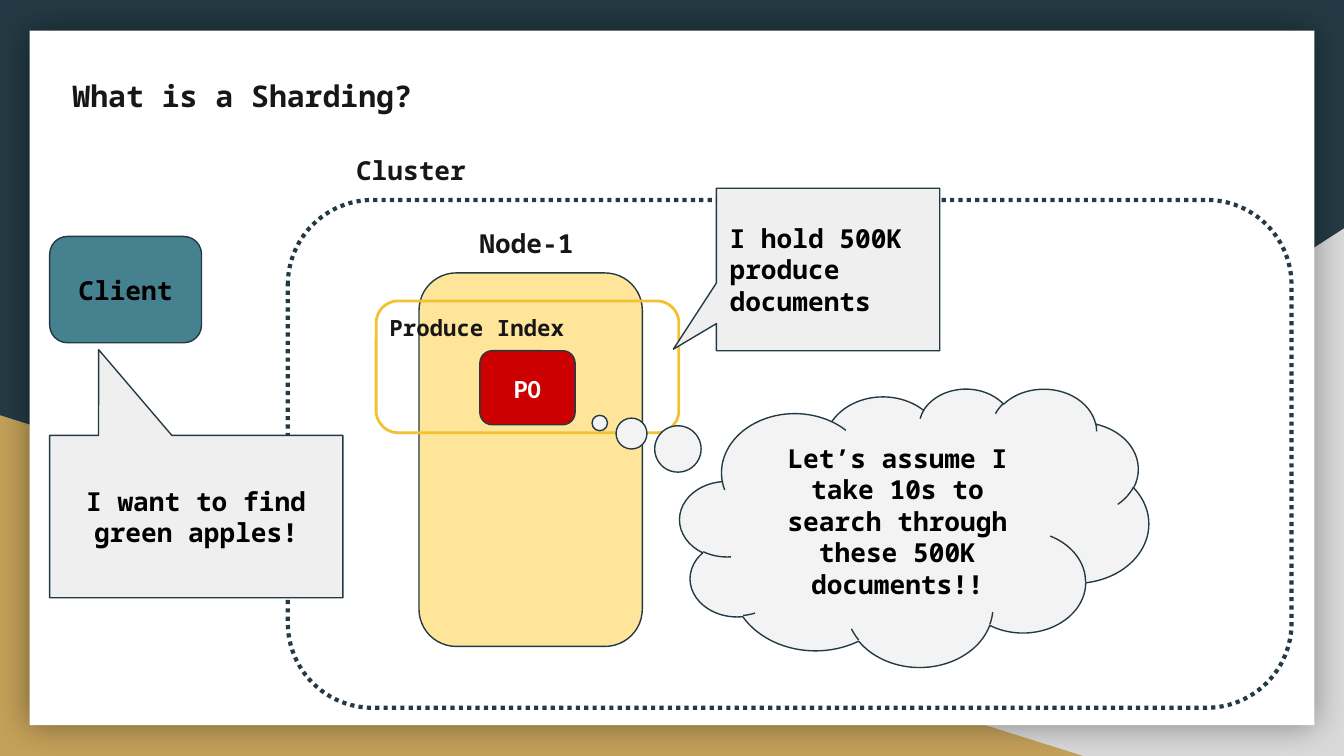
import pptx
import pptx.dml.color
import pptx.enum.dml
import pptx.enum.shapes
import pptx.enum.text
import pptx.oxml
import pptx.oxml.ns
import pptx.util

Cm = pptx.util.Cm
Pt = pptx.util.Pt
RGB = pptx.dml.color.RGBColor
KIND = pptx.enum.shapes.MSO_SHAPE
ALIGN = pptx.enum.text.PP_ALIGN
ANCHOR = pptx.enum.text.MSO_ANCHOR

NAVY = RGB(0x23, 0x3A, 0x44)
GREY = RGB(0xD9, 0xD9, 0xD9)
GOLD = RGB(0xC4, 0xA1, 0x5A)
WHITE = RGB(0xFF, 0xFF, 0xFF)
BLACK = RGB(0, 0, 0)
INK = RGB(0x17, 0x17, 0x17)
CREAM = RGB(0xFF, 0xE5, 0x99)
AMBER = RGB(0xF1, 0xC2, 0x32)
RED = RGB(0xCC, 0, 0)
TEAL = RGB(0x45, 0x81, 0x8E)
PALE = RGB(0xEF, 0xEF, 0xEF)
CLOUD = RGB(0xF3, 0xF3, 0xF3)
MONO = "Noto Sans Mono"
ROUND = 0.167

# Boxes are (left, top, width, height) in centimetres.
SIZE = (25.4, 14.29)
PANEL = (0.56, 0.58, 24.28, 13.13)
WEDGES = [  # box, fill, mirrored
    ((9.96, 4.32, 15.44, 9.97), GREY, True),
    ((0, 7.85, 20.47, 6.44), GOLD, False),
]
TITLE = ("What is a Sharding?", (1.12, 1.22, 7.7, 1.19))
FRAMES = {  # box, fill, line colour, line width
    "cluster": ((5.44, 3.78, 18.97, 9.6), None, NAVY, 2.25),
    "node": ((7.92, 5.16, 4.22, 7.06), CREAM, NAVY, 0.75),
    "index": ((7.11, 5.69, 5.72, 2.49), None, AMBER, 1.5),
}
LABELS = [  # text, box, size
    ("Node-1", (8.81, 4.04, 2.46, 1.12), 14),
    ("Cluster", (6.48, 2.67, 3.61, 1.12), 14),
    ("Produce Index", (7.11, 5.69, 4.39, 1.02), 12),
]
CHIPS = [  # text, box, fill, font, colour
    ("P0", (9.07, 6.63, 1.8, 1.4), RED, "Calibri", WHITE),
    ("Client", (0.94, 4.47, 2.87, 2.01), TEAL, MONO, BLACK),
]
CALLS = [  # text, box, kind, pointer, fill, alignment
    ("I want to find green apples!", (0.94, 8.23, 5.54, 3.07),
     KIND.RECTANGULAR_CALLOUT, (-0.333, -1.028), PALE, ALIGN.CENTER),
    ("I hold 500K produce documents", (13.54, 3.56, 4.22, 3.07),
     KIND.RECTANGULAR_CALLOUT, (-0.693, 0.491), PALE, ALIGN.LEFT),
    ("Let’s assume I take 10s to search through these 500K documents!!",
     (12.85, 7.34, 8.86, 5.26),
     KIND.CLOUD_CALLOUT, (-0.671, -0.375), CLOUD, ALIGN.CENTER),
]


def place(box):
    return [Cm(v) for v in box]


def draw(slide, kind, box, fill=None, line=None, width=0.75, adjust=()):
    shape = slide.shapes.add_shape(kind, *place(box))
    shape.shadow.inherit = False
    for i, value in enumerate(adjust):
        shape.adjustments[i] = value
    if fill is None:
        shape.fill.background()
    else:
        shape.fill.solid()
        shape.fill.fore_color.rgb = fill
    if line is None:
        shape.line.fill.background()
    else:
        shape.line.color.rgb = line
        shape.line.width = Pt(width)
    return shape


def write(shape, text, size=14, color=BLACK, font=MONO,
          align=ALIGN.LEFT, anchor=ANCHOR.TOP):
    frame = shape.text_frame
    frame.text = text
    frame.word_wrap = True
    frame.auto_size = pptx.enum.text.MSO_AUTO_SIZE.NONE
    frame.vertical_anchor = anchor
    frame.margin_left = frame.margin_right = Cm(0.25)
    frame.margin_top = frame.margin_bottom = Cm(0.25)
    para = frame.paragraphs[0]
    para.alignment = align
    face = para.runs[0].font
    face.name, face.size, face.bold = font, Pt(size), True
    face.color.rgb = color


def glow(shape):
    """Give the shape a soft shadow on all sides."""
    effects = shape.element.spPr.find(pptx.oxml.ns.qn("a:effectLst"))
    effects.append(pptx.oxml.parse_xml(
        f'<a:outerShdw {pptx.oxml.ns.nsdecls("a")} blurRad="{Pt(18)}" '
        'dist="0" dir="0" algn="ctr" rotWithShape="0"><a:srgbClr val="000000">'
        '<a:alpha val="40000"/></a:srgbClr></a:outerShdw>'))


def main():
    deck = pptx.Presentation()
    deck.slide_width, deck.slide_height = place(SIZE)
    slide = deck.slides.add_slide(deck.slide_layouts.get_by_name("Title Only"))
    slide.background.fill.solid()
    slide.background.fill.fore_color.rgb = NAVY

    for box, fill, flip in WEDGES:
        wedge = draw(slide, KIND.RIGHT_TRIANGLE, box, fill)
        if flip:
            wedge.element.spPr.xfrm.set("flipH", "1")
    glow(draw(slide, KIND.RECTANGLE, PANEL, WHITE))

    title = slide.shapes.title
    text, box = TITLE
    title.left, title.top, title.width, title.height = place(box)
    write(title, text, 16, INK)
    slide.shapes.element.append(title.element)  # bring in front of the panel

    for name, (box, fill, line, width) in FRAMES.items():
        frame = draw(slide, KIND.ROUNDED_RECTANGLE, box, fill, line, width, [ROUND])
        if name == "cluster":
            frame.line.dash_style = pptx.enum.dml.MSO_LINE.ROUND_DOT
    for text, box, size in LABELS:
        write(slide.shapes.add_textbox(*place(box)), text, size, INK)
    for text, box, fill, font, color in CHIPS:
        chip = draw(slide, KIND.ROUNDED_RECTANGLE, box, fill, NAVY, adjust=[ROUND])
        write(chip, text, 14, color, font, ALIGN.CENTER, ANCHOR.MIDDLE)
    for text, box, kind, tip, fill, align in CALLS:
        call = draw(slide, kind, box, fill, NAVY, adjust=tip)
        write(call, text, align=align, anchor=ANCHOR.MIDDLE)

    deck.save("out.pptx")


if __name__ == "__main__":
    main()
